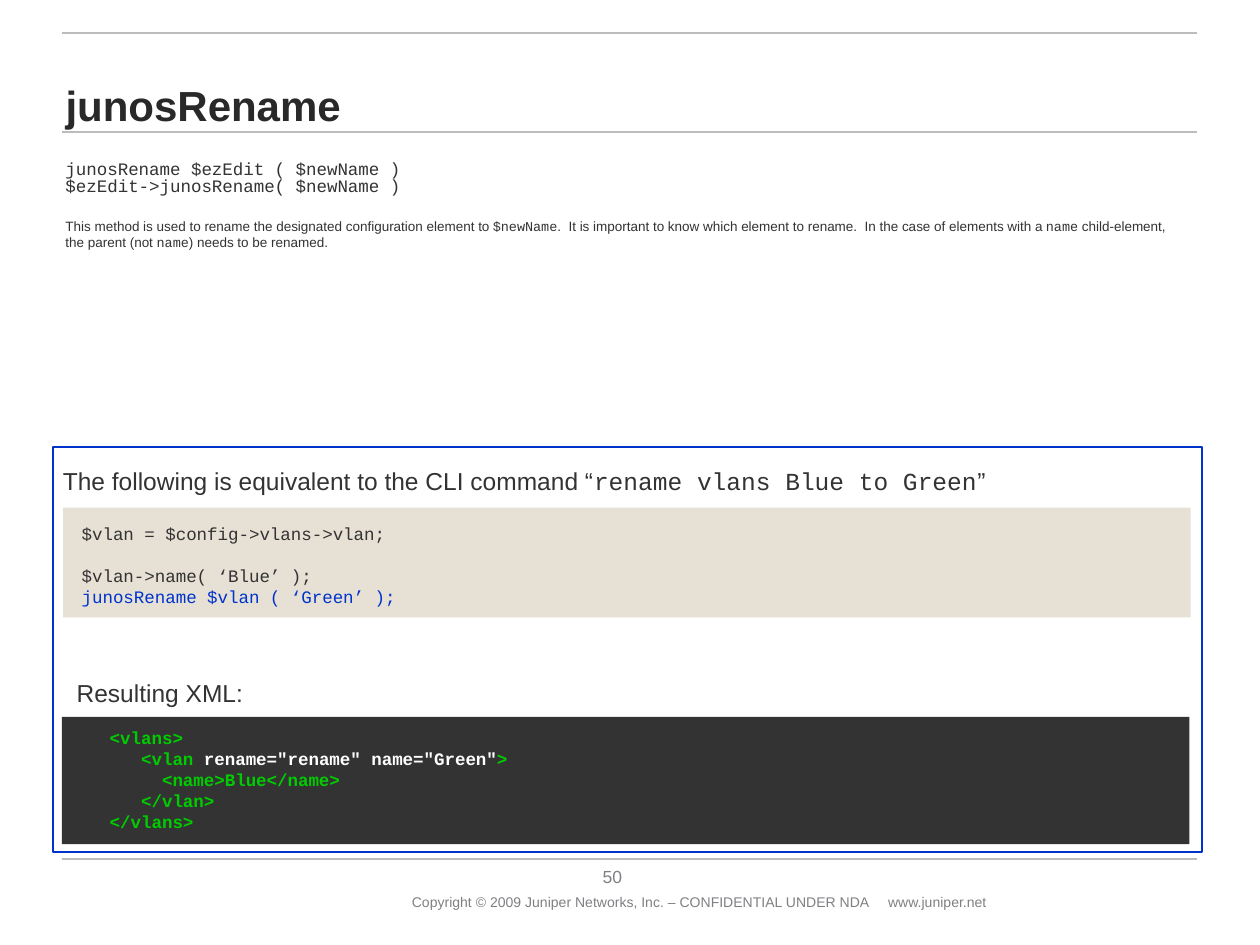
"""Build the junosRename slide with its syntax, sample code and resulting XML."""
from dataclasses import dataclass

from pptx import Presentation
from pptx.dml.color import RGBColor
from pptx.enum import shapes, text
from pptx.util import Inches, Pt


@dataclass(frozen=True)
class Theme:
    sans: str = "Arial"
    mono: str = "Courier New"
    ink: str = "333333"
    dark: str = "292929"
    grey: str = "807F83"
    rule: str = "BABCBE"
    sand: str = "E7E1D5"
    blue: str = "0033CC"
    green: str = "00CC00"
    white: str = "FFFFFF"
    title: float = 24
    head: float = 14
    code: float = 10
    note: float = 7.7
    foot: float = 8


look = Theme()


def write(box, rows, size=look.code, font=look.sans, color=look.ink, bold=False,
          align=text.PP_ALIGN.LEFT, anchor=text.MSO_ANCHOR.TOP, wrap=True,
          left=0.1, edge=0.05, line=None, gaps=None, after=0):
    """Fill a box with rows of (text, overrides) runs in one base format."""
    frame = box.text_frame
    frame.word_wrap = wrap
    frame.auto_size = text.MSO_AUTO_SIZE.NONE
    frame.vertical_anchor = anchor
    frame.margin_left, frame.margin_right = Inches(left), Inches(2 * edge)
    frame.margin_top = frame.margin_bottom = Inches(edge)
    for i, row in enumerate(rows):
        para = frame.paragraphs[0] if i == 0 else frame.add_paragraph()
        para.alignment = align
        para.space_before = Pt((gaps or {}).get(i, 0))
        para.space_after = Pt(after)
        if line:
            para.line_spacing = line
        for words, own in [(row, {})] if isinstance(row, str) else row:
            run = para.add_run()
            run.text = words
            run.font.name = own.get("font", font)
            run.font.size = Pt(own.get("size", size))
            run.font.bold = bold
            run.font.color.rgb = RGBColor.from_string(own.get("color", color))


def panel(x, y, w, h, fill=None, edge=None):
    """Draw a plain rectangle with a fill or an outline."""
    rect = slide.shapes.add_shape(shapes.MSO_SHAPE.RECTANGLE, *map(Inches, (x, y, w, h)))
    rect.shadow.inherit = False
    if fill:
        rect.fill.solid()
        rect.fill.fore_color.rgb = RGBColor.from_string(fill)
    else:
        rect.fill.background()
    if edge:
        rect.line.color.rgb = RGBColor.from_string(edge)
        rect.line.width = Pt(1)
    else:
        rect.line.fill.background()


deck = Presentation()
deck.slide_width, deck.slide_height = Inches(10), Inches(7.5)
slide = deck.slides.add_slide(deck.slide_layouts[5])

for y in (0.26, 1.05, 6.82):
    rule = slide.shapes.add_connector(
        shapes.MSO_CONNECTOR.STRAIGHT, Inches(0.49), Inches(y), Inches(9.5), Inches(y))
    rule.line.color.rgb = RGBColor.from_string(look.rule)
    rule.line.width = Pt(1)
    props = rule.line._get_or_add_ln().getparent()
    props.append(props.makeelement(
        "{http://schemas.openxmlformats.org/drawingml/2006/main}effectLst", {}))

panel(0.49, 5.69, 8.95, 1.01, fill=look.ink)
panel(0.5, 4.03, 8.95, 0.87, fill=look.sand)
panel(0.42, 3.55, 9.12, 3.21, edge=look.blue)

title = slide.shapes.title
title.left, title.top, title.width, title.height = map(Inches, (0.52, 0.28, 8.99, 0.81))
write(title, ["junosRename"], size=look.title, color=look.dark, bold=True,
      anchor=text.MSO_ANCHOR.BOTTOM, left=0, line=0.9, after=6)

mono = {"font": look.mono}
blue = {"color": look.blue}
white = {"color": look.white}

blocks = [
    ((4.57, 6.82, 0.58, 0.22), ["50"],
     dict(color=look.grey, align=text.PP_ALIGN.CENTER,
          anchor=text.MSO_ANCHOR.BOTTOM, wrap=False, left=0, edge=0)),
    ((3.17, 7.04, 4.85, 0.24),
     ["Copyright © 2009 Juniper Networks, Inc. – CONFIDENTIAL UNDER NDA     www.juniper.net"],
     dict(size=look.foot, color=look.grey, wrap=False)),
    ((0.52, 1.24, 8.87, 0.4),
     ["junosRename $ezEdit ( $newName )", "$ezEdit->junosRename( $newName )"],
     dict(font=look.mono, left=0, line=0.8)),
    ((0.52, 1.68, 8.87, 0.47),
     [[("This method is used to rename the designated configuration element to ", {}),
       ("$newName", mono),
       (".  It is important to know which element to rename.  "
        "In the case of elements with a ", {}),
       ("name", mono),
       (" child-element, the parent (not ", {}),
       ("name", mono),
       (") needs to be renamed.", {})]],
     dict(size=look.note, left=0)),
    ((0.4, 3.65, 7.52, 0.34),
     [[("The following is equivalent to the CLI command “", {}),
       ("rename vlans Blue to Green", mono), ("”", {})]],
     dict(size=look.head, wrap=False)),
    ((0.55, 4.1, 5, 0.77),
     ["$vlan = $config->vlans->vlan;",
      "$vlan->name( ‘Blue’ );",
      [("junosRename $vlan ( ‘Green’ );", blue)]],
     dict(font=look.mono, gaps={1: 12})),
    ((0.51, 5.33, 8.77, 0.35), ["Resulting XML:"], dict(size=look.head)),
    ((0.69, 5.72, 6.57, 0.94),
     [" <vlans>",
      [("    <vlan ", {}), ('rename="rename" name="Green"', white), (">", {})],
      "      <name>Blue</name>",
      "    </vlan>",
      " </vlans>"],
     dict(font=look.mono, color=look.green, bold=True)),
]
for place, rows, form in blocks:
    write(slide.shapes.add_textbox(*map(Inches, place)), rows, **form)

deck.save("out.pptx")
